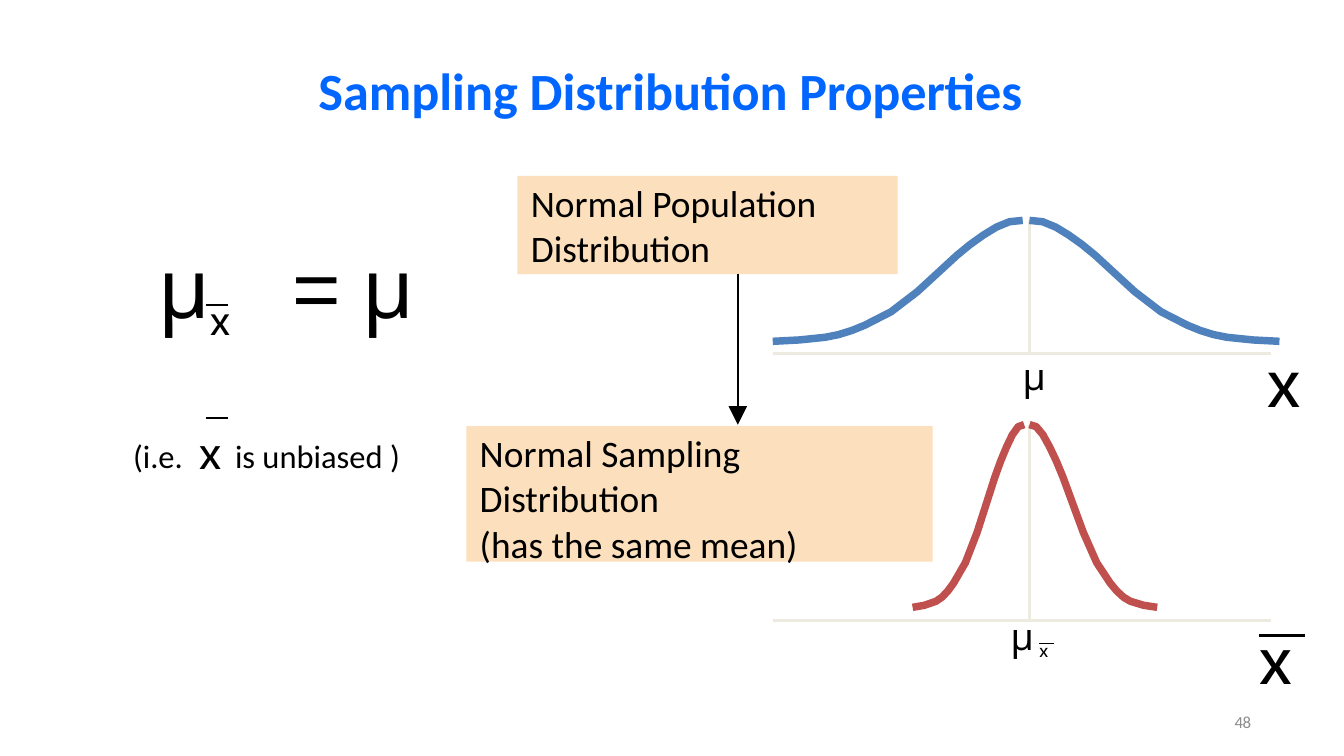
"""Build a slide on the properties of a sampling distribution."""
from lxml.etree import SubElement as Sub
from pptx import Presentation
from pptx.dml.color import RGBColor as Rgb
from pptx.enum.shapes import MSO_CONNECTOR as Link, MSO_SHAPE as Kind
from pptx.enum.text import MSO_ANCHOR as Anchor, PP_ALIGN as Align
from pptx.oxml.ns import qn
from pptx.util import Inches, Pt

PX = 9144
HUES = {"title": "0066FF", "box": "FCDFBC", "ink": "000000", "axis": "EDEBE0",
        "wide": "4F81BC", "slim": "C0504D", "page": "8C8C8C"}
STEPS = [0, 2, 3, 4, 5, 6, 7, 9, 11, 13, 14, 15, 16, 17, 18, 19]
RISE = [0, 1, 2, 3, 5, 8, 12, 22, 37, 55, 64, 72, 79, 85, 89, 90]


def px(n):
    """Turn px into EMU."""
    return round(n * PX)


def hue(name):
    """Look up a colour."""
    return Rgb.from_string(HUES[name])


def run(text, size, font="Calibri", gap=0, base=0):
    """Describe one run; gap is in points, base in percent."""
    return text, size, font, gap, base


def text(slide, at, paras, tone="ink", bold=False, align=Align.LEFT, top=1):
    """Add a text box from paragraphs of (indent, space, tabs, runs)."""
    frame = slide.shapes.add_textbox(*map(px, at)).text_frame
    frame.word_wrap = True
    frame.margin_left = frame.margin_right = frame.margin_bottom = 0
    frame.margin_top = px(top)
    for i, (dent, space, tabs, runs) in enumerate(paras):
        para = frame.add_paragraph() if i else frame.paragraphs[0]
        props = para._p.get_or_add_pPr()
        props.set("marL", str(px(dent)))
        props.set("indent", "0")
        if tabs:
            stops = Sub(props, qn("a:tabLst"))
            for stop in tabs:
                Sub(stops, qn("a:tab"), pos=str(px(stop)), algn="l")
        para.alignment = align
        if space:
            para.space_before = Pt(space)
        for words, size, font, gap, base in runs:
            part = para.add_run()
            part.text = words
            part.font.size, part.font.name = Pt(size), font
            part.font.bold = bold
            part.font.color.rgb = hue(tone)
            look = part._r.get_or_add_rPr()
            look.set("spc", str(round(gap * 100)))
            if base:
                look.set("baseline", str(base * 1000))
    return frame


def line(slide, x1, y1, x2, y2, tone="ink", width=1.0, head=False):
    """Add a straight line, with an arrowhead at its end if asked."""
    rule = slide.shapes.add_connector(Link.STRAIGHT, *map(px, (x1, y1, x2, y2)))
    rule.line.color.rgb = hue(tone)
    rule.line.width = Pt(width)
    if head:
        Sub(rule.line._get_or_add_ln(), qn("a:tailEnd"), type="triangle",
            w="lg", len="lg")
    Sub(rule._element.spPr, qn("a:effectLst"))


def panel(slide, at, rows):
    """Add a tinted box with lines of text."""
    box = slide.shapes.add_shape(Kind.RECTANGLE, *map(px, at))
    box.shadow.inherit = False
    box.fill.solid()
    box.fill.fore_color.rgb = hue("box")
    box.line.fill.background()
    left, top, wide, high = at
    paras = [(1, 0.5 * (i > 1), (), [run(row, 20)])
             for i, row in enumerate(rows)]
    text(slide, (left + 9, top + 2, 240, high), paras)


def bell(slide, left, right, top, high, tone):
    """Add a bell curve in two halves that part at the mean."""
    halves = []
    for foot, peak in (left, right):
        halves.append([(px(foot + (peak - foot) * s / STEPS[-1]),
                        px(top + high * (1 - r / RISE[-1])))
                       for s, r in zip(STEPS, RISE)])
    one, two = halves
    pen = slide.shapes.build_freeform(*one[0])
    pen.add_line_segments(one[1:], close=False)
    pen.move_to(*two[0])
    pen.add_line_segments(two[1:], close=False)
    curve = pen.convert_to_shape()
    curve.shadow.inherit = False
    curve.fill.background()
    curve.line.color.rgb = hue(tone)
    curve.line.width = Pt(4)


def graph(slide, left, right, top, high, floor, tone):
    """Add a bell curve with its mean line and axis."""
    line(slide, 766, top, 766, floor, "axis", 1.1)
    bell(slide, left, right, top, high, tone)
    line(slide, 575, floor, 946, floor, "axis", 1.5)


def main():
    """Build and save the slide."""
    deck = Presentation()
    deck.slide_width, deck.slide_height = Inches(10), Inches(10) * 9 // 16
    slide = deck.slides.add_slide(deck.slide_layouts[6])

    text(slide, (236, 42, 529, 49),
         [(1, 0, (), [run("Sampling Distribution ", 28),
                      run("Properties", 28, gap=-0.1)])], "title", True)
    panel(slide, (385, 131, 283, 73), ["Normal Population", "Distribution"])
    panel(slide, (347, 317, 347, 101),
          ["Normal Sampling", "Distribution", "(has the same mean)"])
    graph(slide, (575, 761), (952, 766), 164, 90, 263, "wide")
    graph(slide, (679, 762), (861, 766), 316, 136, 462, "slim")
    line(slide, 549, 204, 549, 316, head=True)

    for at, dent, runs in (
            ((942, 249, 40, 65), 1, [run("x", 37.5, "Cabin", 7.5)]),
            ((936, 456, 39, 65), 1, [run("x", 37, "Cabin", 6.9)]),
            ((760, 261, 23, 36), 1, [run("μ", 20, "Cabin", 3)]),
            ((748, 454, 41, 36), 4, [run("μ", 20, "Cabin", 2.9),
                                     run("x", 17.2, "Cabin", 4.3, -24)])):
        text(slide, at, [(dent, 0, (), runs)], top=2)
    for x, y, wide, thick in ((937, 473, 34, 1.5), (773, 479, 11, 0.5),
                              (153, 227, 17, 1), (153, 311, 17, 1)):
        line(slide, x, y, x + wide, y, width=thick)

    text(slide, (95, 174, 230, 170), [
        (23, 0, (97,), [run("μ", 44.5, "Cabin", -0.2),
                        run("x\t", 39, "Cabin", -0.4, -24),
                        run("= ", 44.5, "Arial", -1.2),
                        run("μ", 44.5, "Cabin", -0.5)]),
        (4, 37, (), [run("(i.e.", 30, base=1), run(" ", 30, gap=5, base=1),
                     run("x ", 25, "Cabin", 0.8),
                     run("is unbiased ", 30, base=1),
                     run(")", 30, gap=-0.8, base=1)])])
    page = text(slide, (706, 521, 225, 30),
                [(4, 0, (), [run("48", 9, gap=-0.2)])], "page",
                align=Align.RIGHT, top=0)
    page.vertical_anchor = Anchor.MIDDLE
    page.paragraphs[0].line_spacing = Pt(12.4)
    deck.save("out.pptx")


if __name__ == "__main__":
    main()
